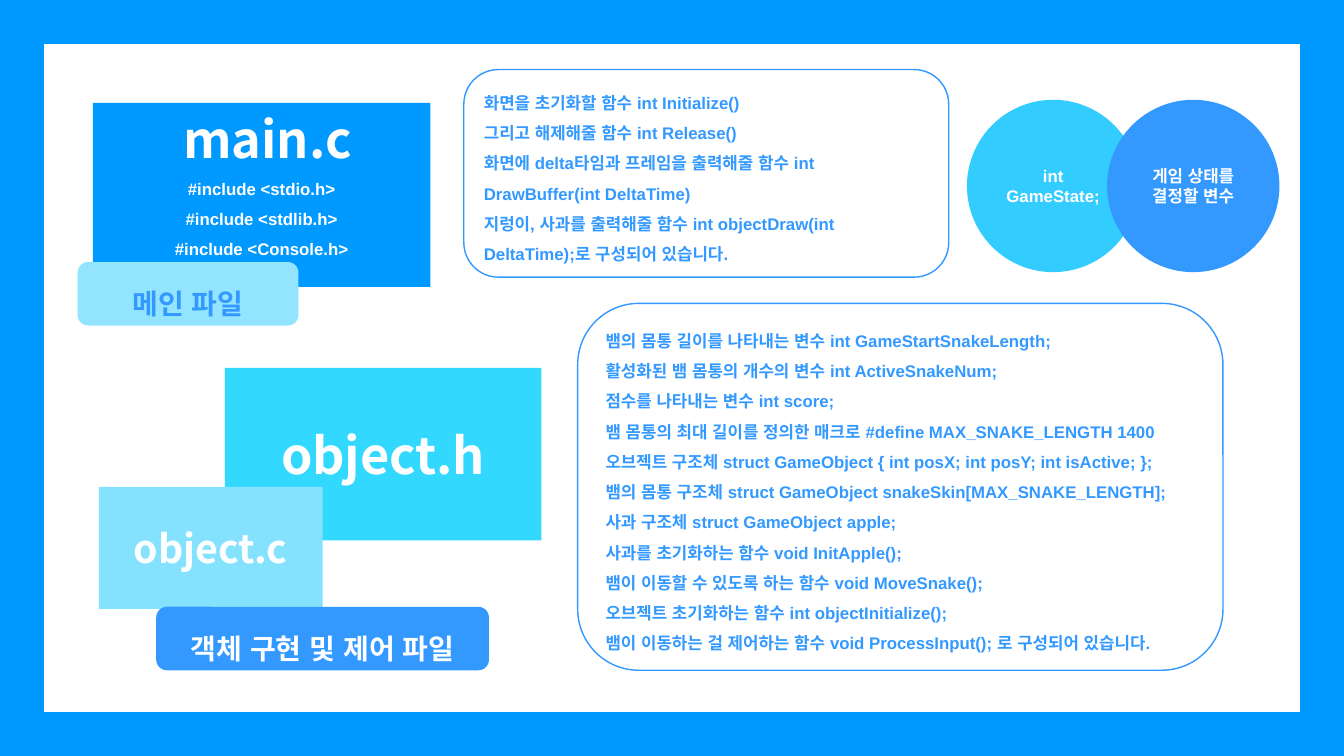
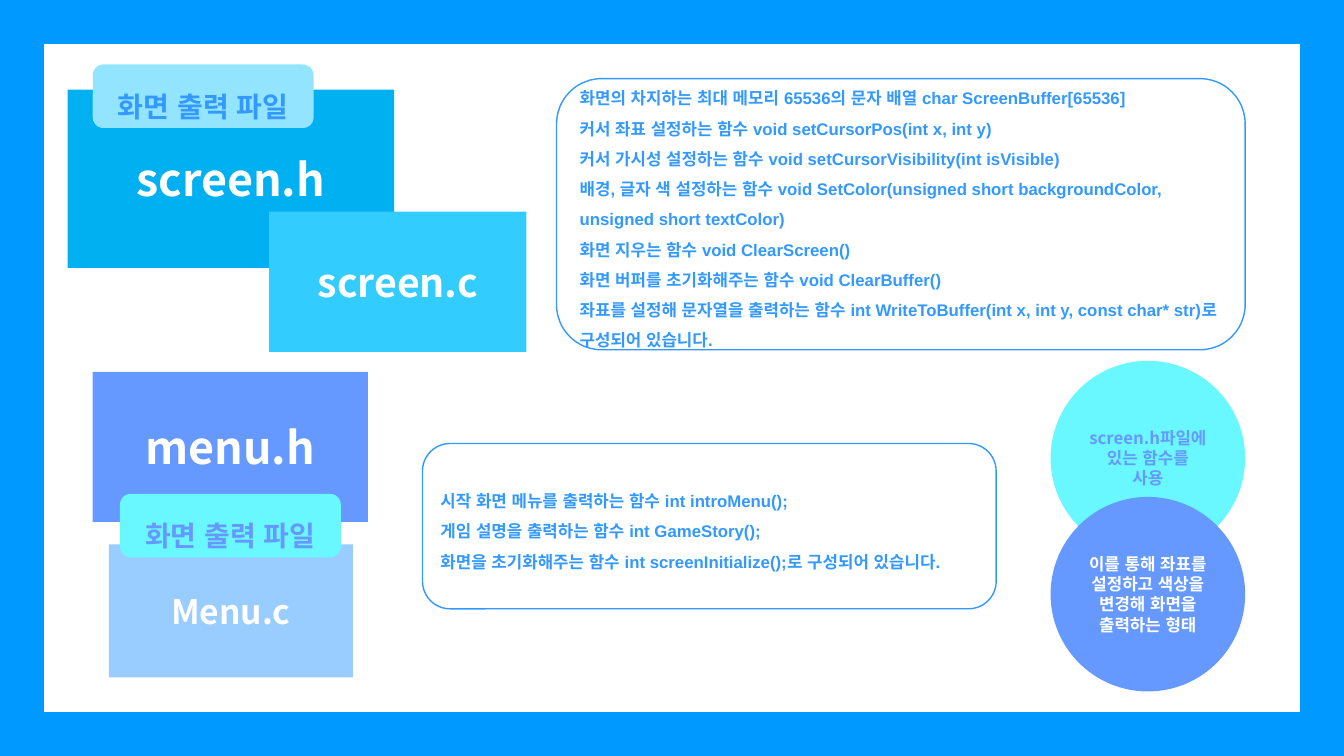
"""Build two slides that introduce the source files of a snake game."""
from lxml import etree
from pptx import Presentation
from pptx.dml.color import RGBColor
from pptx.enum.lang import MSO_LANGUAGE_ID
from pptx.enum.shapes import MSO_SHAPE
from pptx.enum.text import MSO_ANCHOR, PP_ALIGN
from pptx.oxml.ns import qn
from pptx.util import Pt

PX = 9144
SLIDE_WIDTH, SLIDE_HEIGHT = 1333, 750
BADGE_HEIGHT = 63
FILE_RATIO = 6 / 11

FRAME, RECTANGLE, ROUNDED, OVAL = (
    MSO_SHAPE.FRAME, MSO_SHAPE.RECTANGLE, MSO_SHAPE.ROUNDED_RECTANGLE, MSO_SHAPE.OVAL)
TOP, MIDDLE = MSO_ANCHOR.TOP, MSO_ANCHOR.MIDDLE
LEFT, CENTER = PP_ALIGN.LEFT, PP_ALIGN.CENTER
KOREAN = MSO_LANGUAGE_ID.KOREAN

LATIN_FONT, KOREAN_FONT = "Arial", "Noto Sans CJK KR"

WHITE = RGBColor(0xFF, 0xFF, 0xFF)
FRAME_BLUE = RGBColor(0x00, 0x99, 0xFF)
BLUE = RGBColor(0x33, 0x99, 0xFF)
SKY = RGBColor(0x33, 0xCC, 0xFF)
BRIGHT_SKY = RGBColor(0x33, 0xD8, 0xFF)
DEEP_SKY = RGBColor(0x00, 0xB0, 0xF0)
SOFT_SKY = RGBColor(0x85, 0xE2, 0xFF)
PALE_SKY = RGBColor(0x93, 0xE5, 0xFF)
AQUA = RGBColor(0x69, 0xF8, 0xFF)
PERIWINKLE = RGBColor(0x66, 0x99, 0xFF)
PALE_BLUE = RGBColor(0x99, 0xCC, 0xFF)

MAIN_SLIDE = [
    ("file", (92, 102, 335), FRAME_BLUE, 36, " main.c",
     ["#include <stdio.h>", "#include <stdlib.h>", "#include <Console.h>"]),
    ("note", (460, 69, 481, 206), [
        "화면을 초기화할 함수 int Initialize()",
        "그리고 해제해줄 함수 int Release()",
        "화면에 delta타임과 프레임을 출력해줄 함수 int DrawBuffer(int DeltaTime)",
        "지렁이, 사과를 출력해줄 함수 int objectDraw(int DeltaTime);로 구성되어 있습니다.",
    ]),
    ("badge", (77, 260, 219), PALE_SKY, BLUE, "메인 파일"),
    ("circle", (959, 99, 171), SKY, WHITE, LATIN_FONT, ["int GameState;"]),
    ("circle", (1098, 99, 171), BLUE, WHITE, LATIN_FONT, ["게임 상태를 결정할 변수"]),
    ("file", (223, 365, 314), BRIGHT_SKY, 36, "object.h", []),
    ("file", (98, 483, 222), SOFT_SKY, 28, "object.c", []),
    ("badge", (155, 602, 330), BLUE, WHITE, "객체 구현 및 제어 파일"),
    ("note", (573, 301, 640, 364), [
        "뱀의 몸통 길이를 나타내는 변수 int GameStartSnakeLength;",
        "활성화된 뱀 몸통의 개수의 변수 int ActiveSnakeNum;",
        "점수를 나타내는 변수 int score;",
        "뱀 몸통의 최대 길이를 정의한 매크로 #define MAX_SNAKE_LENGTH 1400",
        "오브젝트 구조체 struct GameObject { int posX; int posY; int isActive; };",
        "뱀의 몸통 구조체 struct GameObject snakeSkin[MAX_SNAKE_LENGTH];",
        "사과 구조체 struct GameObject apple;",
        "사과를 초기화하는 함수 void InitApple();",
        "뱀이 이동할 수 있도록 하는 함수 void MoveSnake();",
        "오브젝트 초기화하는 함수 int objectInitialize();",
        "뱀이 이동하는 걸 제어하는 함수 void ProcessInput(); 로 구성되어 있습니다.",
    ]),
]
SCREEN_SLIDE = [
    ("note", (552, 78, 683, 269), [
        "화면의 차지하는 최대 메모리 65536의 문자 배열 char ScreenBuffer[65536]",
        "커서 좌표 설정하는 함수 void setCursorPos(int x, int y)",
        "커서 가시성 설정하는 함수 void setCursorVisibility(int isVisible)",
        "배경, 글자 색 설정하는 함수 void SetColor(unsigned short backgroundColor, "
        "unsigned short textColor)",
        "화면 지우는 함수 void ClearScreen()",
        "화면 버퍼를 초기화해주는 함수 void ClearBuffer()",
        "좌표를 설정해 문자열을 출력하는 함수 int WriteToBuffer(int x, int y, const char* str)"
        "로 구성되어 있습니다.",
    ]),
    ("file", (67, 89, 324), DEEP_SKY, 32, "screen.h", []),
    ("file", (267, 210, 255), SKY, 28, "screen.c", []),
    ("badge", (92, 64, 219), PALE_SKY, BLUE, "화면 출력 파일"),
    ("file", (92, 369, 273), PERIWINKLE, 32, "menu.h", []),
    ("file", (108, 540, 242), PALE_BLUE, 24, "Menu.c", []),
    ("badge", (119, 490, 219), AQUA, PERIWINKLE, "화면 출력 파일"),
    ("note", (419, 440, 569, 164), [
        "시작 화면 메뉴를 출력하는 함수 int introMenu();",
        "게임 설명을 출력하는 함수 int GameStory();",
        "화면을 초기화해주는 함수 int screenInitialize();로 구성되어 있습니다.",
    ]),
    ("circle", (1042, 358, 193), AQUA, PERIWINKLE, KOREAN_FONT,
     ["screen.h파일에 있는 함수를", "사용"]),
    ("circle", (1042, 493, 193), PERIWINKLE, WHITE, KOREAN_FONT,
     ["이를 통해 좌표를 설정하고 색상을 변경해 화면을 출력하는 형태"]),
]


def add_panel(slide, kind, box, fill, line=None):
    """Add a flat preset shape with an optional outline."""
    shape = slide.shapes.add_shape(kind, *(round(length * PX) for length in box))
    shape.shadow.inherit = False
    shape.fill.solid()
    shape.fill.fore_color.rgb = fill
    if line is None:
        shape.line.fill.background()
    else:
        shape.line.color.rgb = line
        shape.line.width = Pt(1)
    return shape


def write(shape, lines, color, anchor=MIDDLE, **paragraph_format):
    """Fill a shape with bold paragraphs given as (text, size, font, spacing)."""
    frame = shape.text_frame
    frame.word_wrap = True
    frame.vertical_anchor = anchor
    for index, (text, size, font_name, spacing) in enumerate(lines):
        paragraph = frame.paragraphs[0] if index == 0 else frame.add_paragraph()
        for name, value in {"alignment": CENTER, "line_spacing": spacing,
                            **paragraph_format}.items():
            setattr(paragraph, name, value)
        run = paragraph.add_run()
        run.text = text
        for name, value in {"size": Pt(size), "name": font_name, "bold": True,
                            "language_id": KOREAN}.items():
            setattr(run.font, name, value)
        run.font.color.rgb = color
        east_asian = etree.SubElement(run._r.get_or_add_rPr(), qn("a:ea"))
        east_asian.set("typeface", KOREAN_FONT)


def code_lines(texts):
    """Give small code text its wide line spacing."""
    return [(text, 12, LATIN_FONT, 1.5) for text in texts]


def add_file(slide, place, fill, size, name, includes):
    """Add a block that names a file, all blocks having one ratio."""
    left, top, width = place
    shape = add_panel(slide, RECTANGLE, (left, top, width, width * FILE_RATIO), fill)
    lines = [(name, size, KOREAN_FONT, None)] + code_lines(includes)
    write(shape, lines, WHITE, TOP if includes else MIDDLE)


def add_note(slide, box, texts):
    """Add an outlined box that lists functions and variables."""
    shape = add_panel(slide, ROUNDED, box, WHITE, BLUE)
    write(shape, code_lines(texts), BLUE, alignment=LEFT)


def add_badge(slide, place, fill, color, text):
    """Add a rounded label of fixed height."""
    shape = add_panel(slide, ROUNDED, (*place, BADGE_HEIGHT), fill)
    write(shape, [(text, 20, LATIN_FONT, 1.5)], color, TOP)


def add_circle(slide, place, fill, color, font_name, texts):
    """Add a circle with a short remark."""
    left, top, diameter = place
    shape = add_panel(slide, OVAL, (left, top, diameter, diameter), fill)
    write(shape, [(text, 12, font_name, None) for text in texts], color)


BUILDERS = {"file": add_file, "note": add_note, "badge": add_badge, "circle": add_circle}


def add_framed_slide(presentation, parts):
    """Add a slide with the shared frame and its own parts."""
    slide = presentation.slides.add_slide(presentation.slide_layouts[6])
    border = add_panel(slide, FRAME, (0, 0, SLIDE_WIDTH, SLIDE_HEIGHT), FRAME_BLUE)
    border.adjustments[0] = 0.06
    border.adjustments[0] = 0.058
    for kind, *details in parts:
        BUILDERS[kind](slide, *details)


def main():
    """Build and save the presentation."""
    presentation = Presentation()
    presentation.slide_width = SLIDE_WIDTH * PX
    presentation.slide_height = SLIDE_HEIGHT * PX
    for parts in (MAIN_SLIDE, SCREEN_SLIDE):
        add_framed_slide(presentation, parts)
    presentation.save("out.pptx")


if __name__ == "__main__":
    main()
